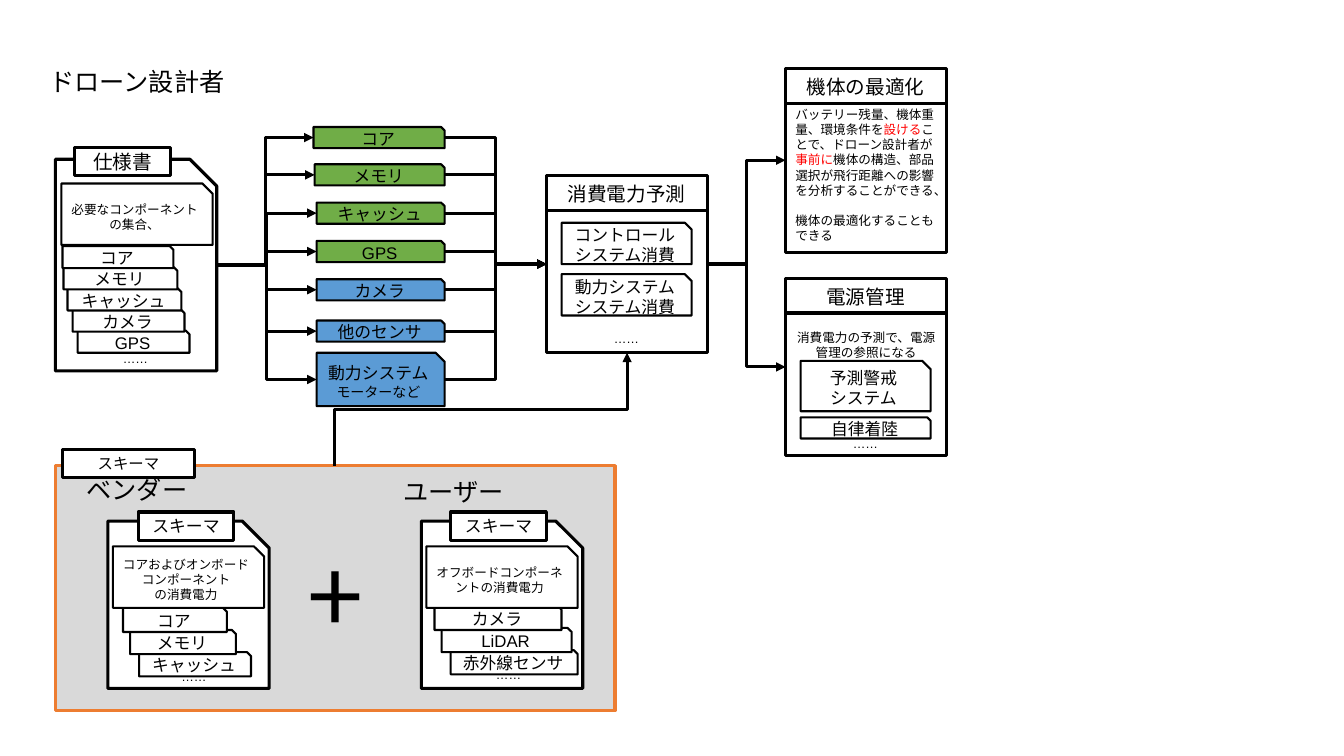
from dataclasses import dataclass

import pptx
import pptx.dml.color
import pptx.enum.shapes
import pptx.enum.text
import pptx.oxml
import pptx.oxml.ns
import pptx.util

SHAPES = pptx.enum.shapes.MSO_SHAPE
CONNECTORS = pptx.enum.shapes.MSO_CONNECTOR
ALIGN = pptx.enum.text.PP_ALIGN
ANCHOR = pptx.enum.text.MSO_ANCHOR
CELL = pptx.util.Inches(0.1)


@dataclass(frozen=True)
class Theme:
    ink: str = "000000"
    paper: str = "FFFFFF"
    accent: str = "FF0000"
    region: str = "D9D9D9"
    region_edge: str = "ED7D31"
    onboard: str = "70AD47"
    offboard: str = "5B9BD5"
    font: str = "Arial"
    title_font: str = "Noto Sans CJK SC"
    title: int = 18
    heading: int = 14
    label: int = 12
    region_label: int = 11
    detail: int = 10
    note: int = 9
    plus: int = 72
    heavy: float = 2.25
    light: float = 1.5


THEME = Theme()


@dataclass(frozen=True)
class Box:
    left: float
    top: float
    columns: float
    rows: float

    def within(self, left, top, columns, rows):
        return Box(self.left + left, self.top + top, columns, rows)

    def lengths(self):
        return [grid(n) for n in (self.left, self.top, self.columns, self.rows)]


def grid(cells):
    return int(CELL * cells)


def color(code):
    return pptx.dml.color.RGBColor.from_string(code)


def write(shape, lines, size, align=ALIGN.CENTER, font=THEME.font):
    frame = shape.text_frame
    for index, line in enumerate(lines):
        paragraph = frame.add_paragraph() if index else frame.paragraphs[0]
        paragraph.text = line
        paragraph.alignment = align
        paragraph.font.name = font
        paragraph.font.size = pptx.util.Pt(size)
        paragraph.font.bold = False
        paragraph.font.color.rgb = color(THEME.ink)


def add_box(slide, box, kind=SHAPES.RECTANGLE, lines=(), size=THEME.label,
            fill=THEME.paper, edge=THEME.ink, weight=THEME.heavy):
    shape = slide.shapes.add_shape(kind, *box.lengths())
    shape.shadow.inherit = False
    shape.fill.solid()
    shape.fill.fore_color.rgb = color(fill)
    shape.line.color.rgb = color(edge)
    shape.line.width = pptx.util.Pt(weight)
    shape.text_frame.vertical_anchor = ANCHOR.MIDDLE
    write(shape, lines, size)
    return shape


def add_card(slide, box, lines, size=THEME.label, fill=THEME.paper):
    return add_box(slide, box, SHAPES.SNIP_1_RECTANGLE, lines, size, fill, weight=THEME.light)


def add_text(slide, box, text, size, align=ALIGN.LEFT, font=THEME.font):
    shape = slide.shapes.add_textbox(*box.lengths())
    shape.text_frame.word_wrap = align == ALIGN.CENTER
    write(shape, [text], size, align, font)


def add_dots(slide, box, left, top):
    add_text(slide, box.within(left, top, 4.5, 2.5), "……", THEME.note)


def add_line(slide, start, end, kind=CONNECTORS.ELBOW):
    connector = slide.shapes.add_connector(kind, *map(grid, start + end))
    connector.line.color.rgb = color(THEME.ink)
    connector.line.width = pptx.util.Pt(THEME.heavy)
    properties = connector._element.spPr
    if kind == CONNECTORS.ELBOW:
        arrow = pptx.oxml.parse_xml(
            f'<a:tailEnd {pptx.oxml.ns.nsdecls("a")} type="triangle"/>')
        connector.line._get_or_add_ln().append(arrow)
    properties.append(pptx.oxml.parse_xml(f'<a:effectLst {pptx.oxml.ns.nsdecls("a")}/>'))
    return connector


def add_rising_arrow(slide, start, end):
    middle_x, middle_y = (start[0] + end[0]) / 2, (start[1] + end[1]) / 2
    half_run, half_rise = (end[0] - start[0]) / 2, (start[1] - end[1]) / 2
    connector = add_line(slide, (middle_x + half_rise, middle_y + half_run),
                         (middle_x - half_rise, middle_y - half_run))
    connector._element.spPr.find(pptx.oxml.ns.qn("a:xfrm")).set("rot", "5400000")


def add_title(slide, box, text):
    title = slide.shapes.title
    title.left, title.top, title.width, title.height = box.lengths()
    title.text_frame.auto_size = pptx.enum.text.MSO_AUTO_SIZE.NONE
    title.text_frame.word_wrap = False
    title.text_frame.vertical_anchor = ANCHOR.TOP
    write(title, [text], THEME.title, ALIGN.LEFT, THEME.title_font)


def add_document(slide, box, tab, tab_offset, tab_size, summary, summary_offset,
                 cards, first_top, step, card_rows, dots):
    add_box(slide, box, SHAPES.SNIP_1_RECTANGLE)
    add_box(slide, box.within(*tab_offset, 9.5, 2.8), lines=[tab], size=tab_size)
    for index, (text, left, columns) in reversed(list(enumerate(cards))):
        add_card(slide, box.within(left, first_top + index * step, columns, card_rows), [text])
    add_card(slide, box.within(*summary_offset, 15, 6.1), summary, THEME.note)
    add_dots(slide, box, *dots)


def add_panel(slide, box, heading, cards=(), dots=None, body=(), body_top=0, align=ALIGN.CENTER):
    panel = add_box(slide, box)
    panel.text_frame.vertical_anchor = ANCHOR.TOP
    panel.text_frame.margin_top = grid(body_top)
    write(panel, body, THEME.note, align)
    rule = box.top + 3.45
    add_line(slide, (box.left, rule), (box.left + box.columns, rule), CONNECTORS.STRAIGHT)
    add_text(slide, box.within(0.1, 0.15, 15.7, 3.4), heading, THEME.heading, ALIGN.CENTER)
    for lines, top, rows in cards:
        add_card(slide, box.within(1.5, top, 12.9, rows), lines)
    if dots:
        add_dots(slide, box, 5.7, dots)
    return panel


def add_optimization(slide, box):
    panel = add_panel(slide, box, "機体の最適化", body_top=3.8, align=ALIGN.LEFT,
                      body=["", "機体の最適化することもできる"])
    first, second = panel.text_frame.paragraphs
    second.space_before = pptx.util.Pt(11)
    for text, code in (
            ("バッテリー残量、機体重量、環境条件を", THEME.ink), ("設ける", THEME.accent),
            ("ことで、ドローン設計者が", THEME.ink), ("事前に", THEME.accent),
            ("機体の構造、部品選択が飛行距離への影響を分析することができる、", THEME.ink)):
        run = first.add_run()
        run.text = text
        run.font.color.rgb = color(code)


def add_components(slide, source, target):
    for text, fill, left, top in (
            ("コア", THEME.onboard, 31.1, 12.6), ("メモリ", THEME.onboard, 31.2, 16.3),
            ("キャッシュ", THEME.onboard, 31.4, 20.1), ("GPS", THEME.onboard, 31.4, 23.9),
            ("カメラ", THEME.offboard, 31.4, 27.7), ("他のセンサ", THEME.offboard, 31.4, 31.8),
            ("動力システム", THEME.offboard, 31.4, 35)):
        lines = [text, "モーターなど"] if text == "動力システム" else [text]
        box = Box(left, top, 44.1 - left, 5.3 if len(lines) > 1 else 2.1)
        middle = top + box.rows / 2
        add_line(slide, source, (left, middle))
        add_line(slide, (44.1, middle), target)
        shape = add_card(slide, box, lines, fill=fill)
        for paragraph in shape.text_frame.paragraphs[1:]:
            paragraph.font.size = pptx.util.Pt(THEME.detail)


def add_schema(slide, box):
    add_box(slide, box, fill=THEME.region, edge=THEME.region_edge)
    add_text(slide, box.within(2.1, 0.4, 12.1, 4), "ベンダー", THEME.title, font=THEME.title_font)
    add_text(slide, box.within(33.5, 0.6, 12.1, 4), "ユーザー", THEME.title, font=THEME.title_font)
    add_text(slide, box.within(24, 6.3, 8.8, 13.1), "+", THEME.plus, font=THEME.title_font)
    add_document(slide, box.within(5.2, 5.5, 16, 16.6), "スキーマ", (3, -0.9), THEME.label,
                 ["コアおよびオンボードコンポーネント", "の消費電力"], (0.5, 2.5),
                 [("コア", 1.5, 10.3), ("メモリ", 2.2, 10.5), ("キャッシュ", 3.1, 11.1)],
                 8.6, 2.2, 2.4, (6.3, 14.2))
    add_document(slide, box.within(36.3, 5.5, 16, 16.6), "スキーマ", (2.9, -0.9), THEME.label,
                 ["オフボードコンポーネントの消費電力"], (0.5, 2.5),
                 [("カメラ", 1.3, 12.6), ("LiDAR", 2, 12.9), ("赤外線センサ", 2.9, 12.6)],
                 8.4, 2.2, 2.4, (6.4, 14))
    add_box(slide, box.within(0.7, -1.6, 13.1, 2.8), lines=["スキーマ"], size=THEME.region_label)


def main():
    presentation = pptx.Presentation()
    presentation.slide_width = pptx.util.Inches(13.33)
    presentation.slide_height = pptx.util.Inches(7.5)
    slide = presentation.slides.add_slide(presentation.slide_layouts[5])
    add_title(slide, Box(3.9, 6.1, 19.7, 4), "ドローン設計者")
    add_schema(slide, Box(5.5, 46.2, 55.5, 24.3))
    add_document(slide, Box(5.5, 15.8, 16, 21), "仕様書", (1.9, -1.2), THEME.heading,
                 ["必要なコンポーネントの集合、"], (0.6, 2.4),
                 [("コア", 0.7, 11), ("メモリ", 0.8, 11.3), ("キャッシュ", 1.2, 11.3),
                  ("カメラ", 1.7, 11.1), ("GPS", 2.2, 11.1)],
                 8.6, 2.1, 2.2, (5.7, 18.5))
    add_components(slide, (21.5, 26.3), (54.2, 26.2))
    add_panel(slide, Box(54.2, 17.4, 16, 17.6), "消費電力予測", dots=14.9,
              cards=[(["コントロールシステム消費"], 4.7, 4.1),
                     (["動力システム", "システム消費"], 9.8, 4.1)])
    add_optimization(slide, Box(77.9, 6.8, 16, 18.3))
    add_panel(slide, Box(77.9, 27.6, 16, 17.6), "電源管理", dots=15.2, body_top=5.1,
              body=["消費電力の予測で、電源管理の参照になる"],
              cards=[(["予測警戒", "システム"], 8.2, 5), (["自律着陸"], 13.8, 2.1)])
    for middle in (15.9, 36.4):
        add_line(slide, (70.2, 26.2), (77.9, middle))
    add_rising_arrow(slide, (33.2, 46.2), (62.2, 35))
    presentation.save("out.pptx")


if __name__ == "__main__":
    main()
